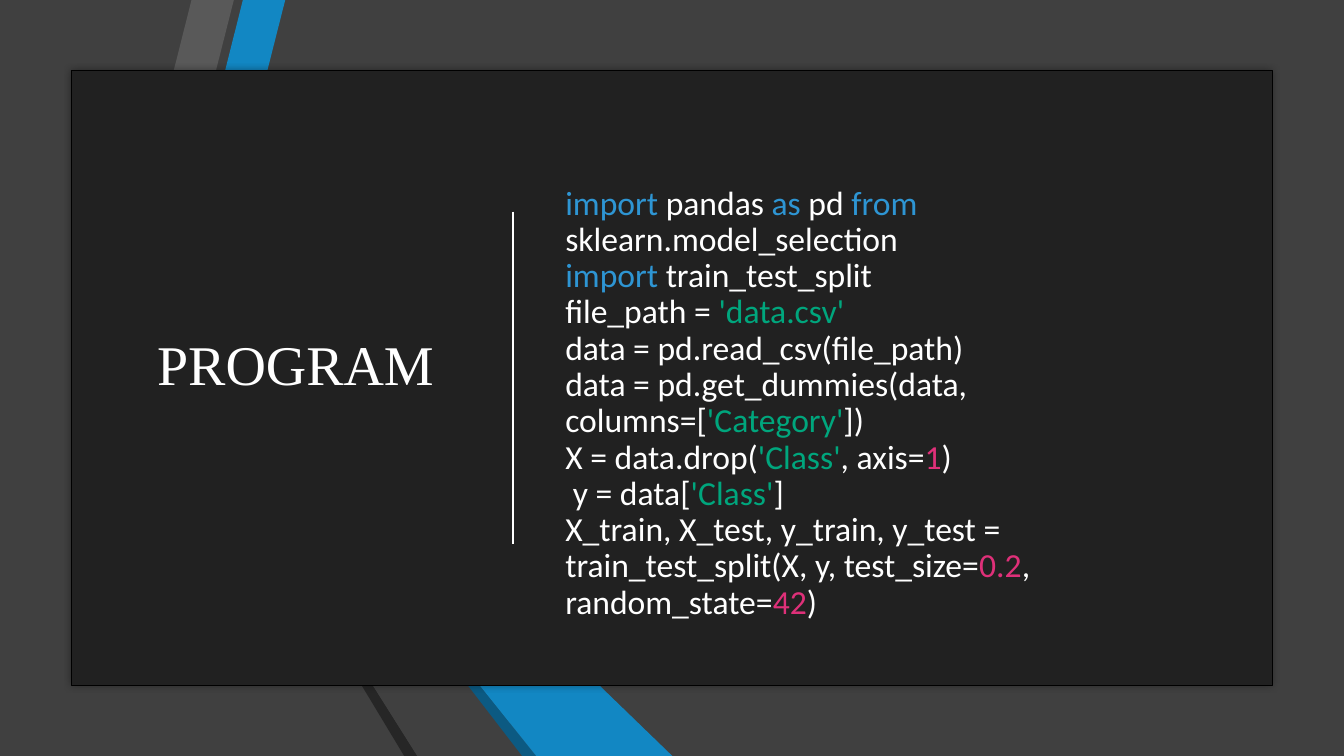
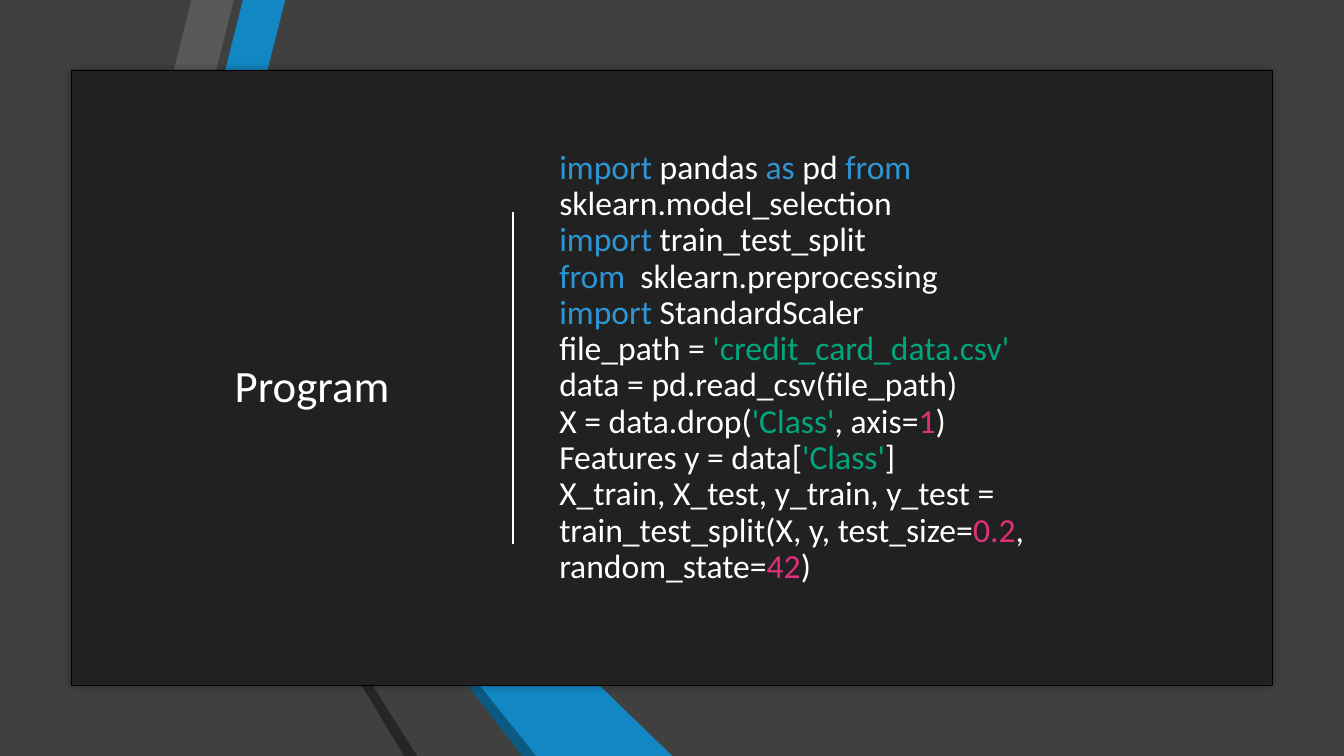
from dataclasses import dataclass
from typing import NamedTuple

from lxml import etree
from pptx import Presentation
from pptx import util as u
from pptx.dml.color import RGBColor
from pptx.enum import shapes, text
from pptx.oxml import ns
from pptx.slide import Slide

CELL = u.Inches(0.1)
COLUMNS, ROWS = 133.33, 75

BACKDROP, PANEL, BLACK, WHITE = "404040", "212121", "000000", "FFFFFF"
BLUE, DEEP_BLUE, GREY, CHARCOAL = "1287C3", "0C5A82", "595959", "262626"
KEYWORD, STRING, NUMBER = "2E95D3", "00A67D", "DF3079"
BODY_FONT, SERIF_FONT = "Calibri", "Times New Roman"


class Box(NamedTuple):
    """Left, top, width and height in grid cells."""
    column: float
    row: float
    columns: float
    rows: float


class Token(NamedTuple):
    text: str
    color: str = WHITE


CodeLine = tuple[Token, ...]
Point = tuple[float, float]


@dataclass(frozen=True)
class Ribbon:
    color: str
    points: tuple[Point, ...]


@dataclass(frozen=True)
class ProgramSlide:
    title: str
    title_font: str
    title_size: float
    title_box: Box
    code_box: Box
    code: tuple[CodeLine, ...]


PANEL_BOX = Box(7.1, 7, 119.1, 61)
DIVIDER_COLUMN, DIVIDER_TOP, DIVIDER_BOTTOM = 50.9, 21, 54

# Corners where the ribbons fold
BLUE_FOLD, BLUE_EDGE = (16.7, 29.4), (20.6, 30.4)
GREY_FOLD, GREY_EDGE = (11.9, 28.2), (15.8, 29.2)

RIBBONS = (
    Ribbon(BLUE, (BLUE_FOLD, BLUE_EDGE, (28.3, 0), (24.1, 0))),
    Ribbon(GREY, (GREY_FOLD, GREY_EDGE, (23.2, 0), (19, 0))),
    Ribbon(CHARCOAL, (GREY_FOLD, (40.1, ROWS), (41.4, ROWS))),
    Ribbon(DEEP_BLUE, (BLUE_FOLD, (51.8, ROWS), (53.2, ROWS))),
    Ribbon(BLUE, (BLUE_FOLD, (53.2, ROWS), (66.7, ROWS), BLUE_EDGE)),
    Ribbon(BACKDROP, (GREY_FOLD, (41.4, ROWS), (51.1, ROWS), GREY_EDGE)),
)

IMPORT = Token("import ", KEYWORD)
CLASS_NAME = Token("'Class'", STRING)

IMPORT_SPLIT: tuple[CodeLine, ...] = (
    (IMPORT, Token("pandas "), Token("as", KEYWORD), Token(" pd "), Token("from", KEYWORD)),
    (Token("sklearn.model_selection"),),
    (IMPORT, Token("train_test_split")),
)
READ_DATA: CodeLine = (Token("data = pd.read_csv(file_path)"),)
DROP_CLASS: CodeLine = (
    Token("X = data.drop("), CLASS_NAME, Token(", axis="), Token("1", NUMBER), Token(")"),
)
SPLIT_DATA: CodeLine = (
    Token("X_train, X_test, y_train, y_test = train_test_split(X, y, test_size="),
    Token("0.2", NUMBER), Token(", random_state="), Token("42", NUMBER), Token(")"),
)


def file_line(name: str) -> CodeLine:
    return Token("file_path = "), Token(f"'{name}'", STRING)


def target_line(prefix: str) -> CodeLine:
    return Token(f"{prefix}y = data["), CLASS_NAME, Token("]")


PROGRAMS = (
    ProgramSlide(
        "PROGRAM", SERIF_FONT, 40, Box(14.6, 32.2, 32.2, 7.7), Box(55.1, 13, 66, 54.1),
        (
            *IMPORT_SPLIT,
            file_line("data.csv"),
            READ_DATA,
            (Token("data = pd.get_dummies(data, columns=["),
             Token("'Category'", STRING), Token("])")),
            DROP_CLASS,
            target_line(" "),
            SPLIT_DATA,
        ),
    ),
    ProgramSlide(
        "Program", BODY_FONT, 32, Box(22.3, 35, 20.9, 6.4), Box(54.5, 11.2, 66, 50.6),
        (
            *IMPORT_SPLIT,
            (Token("from  ", KEYWORD), Token("sklearn.preprocessing")),
            (IMPORT, Token("StandardScaler")),
            file_line("credit_card_data.csv"),
            READ_DATA,
            DROP_CLASS,
            target_line("Features "),
            SPLIT_DATA,
        ),
    ),
)


def rgb(color: str) -> RGBColor:
    return RGBColor.from_string(color)


def cells(*counts: float) -> list[int]:
    """Convert grid cells to EMU."""
    return [round(count * CELL) for count in counts]


def style_font(font, name: str, size: float, color: str) -> None:
    font.name, font.size = name, u.Pt(size)
    font.color.rgb = rgb(color)


def add_ribbon(slide: Slide, ribbon: Ribbon) -> None:
    start, *others = (cells(*point) for point in ribbon.points)
    builder = slide.shapes.build_freeform(*start)
    builder.add_line_segments(others, close=True)
    shape = builder.convert_to_shape()
    shape.shadow.inherit = False
    shape.fill.solid()
    shape.fill.fore_color.rgb = rgb(ribbon.color)
    shape.line.fill.background()


def add_panel(slide: Slide) -> None:
    shape = slide.shapes.add_shape(shapes.MSO_SHAPE.RECTANGLE, *cells(*PANEL_BOX))
    shape.fill.solid()
    shape.fill.fore_color.rgb = rgb(PANEL)
    shape.line.color.rgb = rgb(BLACK)
    shape.line.width = u.Pt(0.25)
    shape.shadow.inherit = False
    effects = shape.element.spPr.find(ns.qn("a:effectLst"))
    glow = etree.SubElement(effects, ns.qn("a:outerShdw"), blurRad=str(u.Pt(5)), dist="0", dir="0")
    color = etree.SubElement(glow, ns.qn("a:srgbClr"), val=BLACK)
    etree.SubElement(color, ns.qn("a:alpha"), val="40000")


def add_divider(slide: Slide) -> None:
    line = slide.shapes.add_connector(
        shapes.MSO_CONNECTOR.STRAIGHT,
        *cells(DIVIDER_COLUMN, DIVIDER_TOP, DIVIDER_COLUMN, DIVIDER_BOTTOM),
    )
    line.line.color.rgb = rgb(WHITE)
    line.line.width = u.Pt(1.25)
    etree.SubElement(line.element.spPr, ns.qn("a:effectLst"))


def add_text_frame(slide: Slide, box: Box):
    text_frame = slide.shapes.add_textbox(*cells(*box)).text_frame
    text_frame.word_wrap = True
    return text_frame


def add_title(slide: Slide, program: ProgramSlide) -> None:
    text_frame = add_text_frame(slide, program.title_box)
    text_frame.text = program.title
    style_font(text_frame.paragraphs[0].runs[0].font,
               program.title_font, program.title_size, WHITE)


def add_code(slide: Slide, program: ProgramSlide) -> None:
    text_frame = add_text_frame(slide, program.code_box)
    text_frame.vertical_anchor = text.MSO_ANCHOR.MIDDLE
    text_frame.text = "\n".join("" for _ in program.code)
    for paragraph, line in zip(text_frame.paragraphs, program.code):
        paragraph.line_spacing = 0.9
        for token in line:
            run = paragraph.add_run()
            run.text = token.text
            style_font(run.font, BODY_FONT, 24, token.color)


def add_program_slide(presentation, program: ProgramSlide) -> None:
    slide = presentation.slides.add_slide(presentation.slide_layouts[6])
    slide.background.fill.solid()
    slide.background.fill.fore_color.rgb = rgb(BACKDROP)
    for ribbon in RIBBONS:
        add_ribbon(slide, ribbon)
    add_panel(slide)
    add_code(slide, program)
    add_divider(slide)
    add_title(slide, program)


def main() -> None:
    presentation = Presentation()
    presentation.slide_width, presentation.slide_height = cells(COLUMNS, ROWS)
    for program in PROGRAMS:
        add_program_slide(presentation, program)
    presentation.save("out.pptx")


if __name__ == "__main__":
    main()
